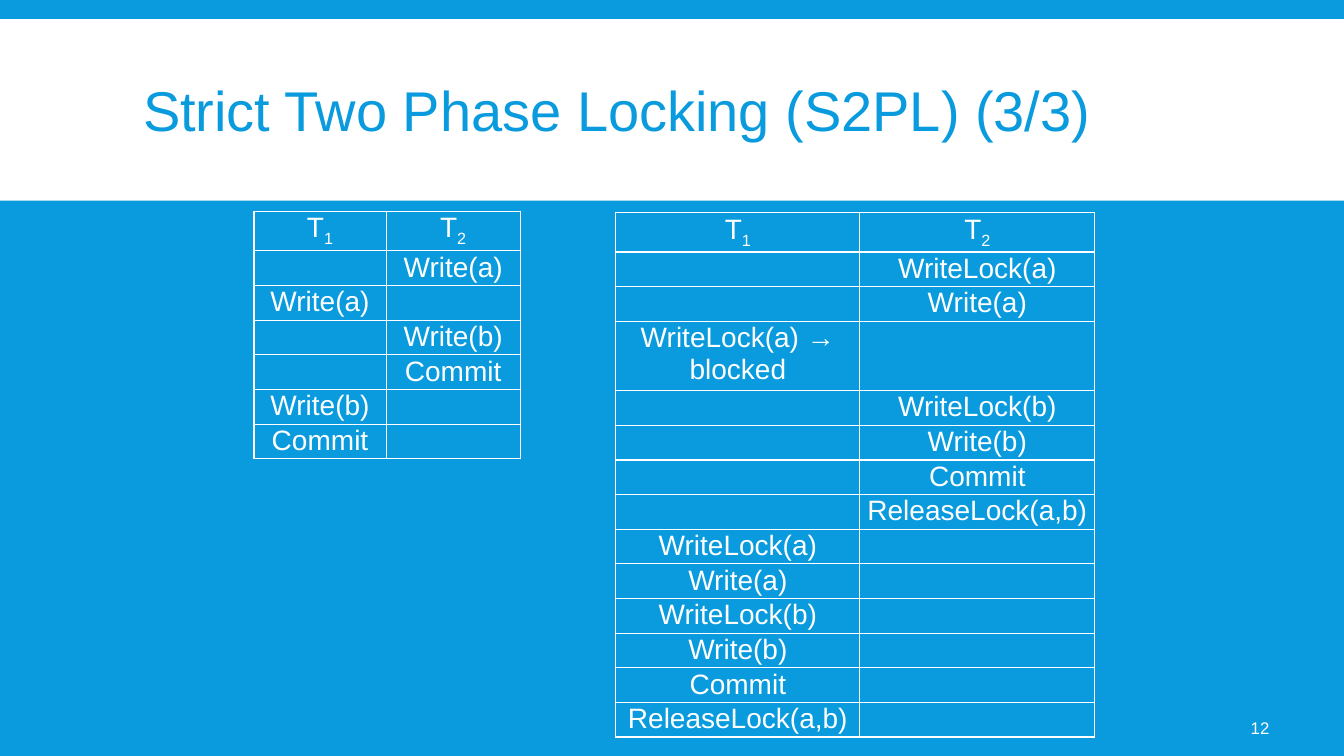
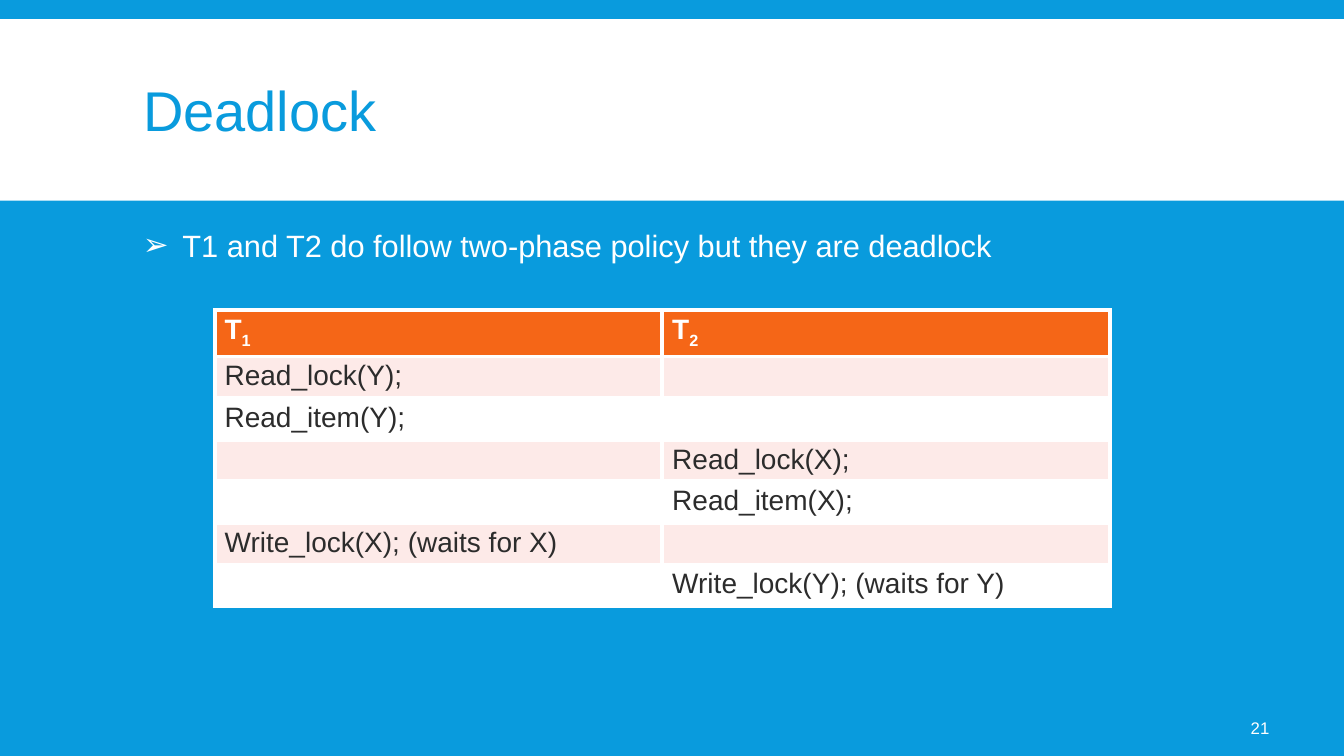
import pptx
import pptx.dml.color
import pptx.enum.shapes
import pptx.enum.text
import pptx.oxml
import pptx.oxml.ns
import pptx.util
from pptx.util import Cm

COLORS = {"blue": "099BDD", "white": "FFFFFF", "orange": "F56617",
          "pink": "FDEAE8", "dark": "2C2C2C"}
FONT = "Arial"
ALIGN = pptx.enum.text.PP_ALIGN
ANCHOR = pptx.enum.text.MSO_ANCHOR
MARGIN_LEFT, CONTENT_WIDTH = Cm(3.35), Cm(27.18)

# Each schedule step is (transaction, operation), one step a row.
SCHEDULE = [(2, "Write(a)"), (1, "Write(a)"), (2, "Write(b)"),
            (2, "Commit"), (1, "Write(b)"), (1, "Commit")]
LOCKED_SCHEDULE = [
    (2, "WriteLock(a)"), (2, "Write(a)"), (1, "WriteLock(a) → blocked"),
    (2, "WriteLock(b)"), (2, "Write(b)"), (2, "Commit"),
    (2, "ReleaseLock(a,b)"),
    (1, "WriteLock(a)"), (1, "Write(a)"), (1, "WriteLock(b)"),
    (1, "Write(b)"), (1, "Commit"), (1, "ReleaseLock(a,b)")]
DEADLOCK_SCHEDULE = [
    (1, "Read_lock(Y);"), (1, "Read_item(Y);"),
    (2, "Read_lock(X);"), (2, "Read_item(X);"),
    (1, "Write_lock(X); (waits for X)"), (2, "Write_lock(Y); (waits for Y)")]

OUTLINED = dict(row_height=0.79, border=1, align=ALIGN.CENTER, spacing=1.03)
SLIDES = [
    dict(title="Strict Two Phase Locking (S2PL) (3/3)", number=12, tables=[
        dict(steps=SCHEDULE, at=(6.4, 5.33), widths=(3.33, 3.38),
             margins=(0.2, 0), **OUTLINED),
        dict(steps=LOCKED_SCHEDULE, at=(15.52, 5.36), widths=(6.15, 5.92),
             margins=(0.18, 0), **OUTLINED)]),
    dict(title="Deadlock", number=21,
         bullet="T1 and T2 do follow two-phase policy but they are deadlock",
         tables=[dict(steps=DEADLOCK_SCHEDULE, at=(5.41, 7.82),
                      widths=(11.28, 11.28), row_height=1.04, border=3,
                      margins=(0.25, 0.1), header_fill="orange",
                      bands=("pink", "white"), body_color="dark")]),
]


def rgb(name):
    return pptx.dml.color.RGBColor.from_string(COLORS[name])


def write(p, text, size=20, color="white", bold=False, align=ALIGN.LEFT,
          spacing=None, subscript=False):
    p.alignment = align
    if spacing:
        p.line_spacing = spacing
    r = p.add_run()
    r.text = text
    r.font.name, r.font.size, r.font.bold = FONT, pptx.util.Pt(size), bold
    r.font.color.rgb = rgb(color)
    if subscript:
        r._r.get_or_add_rPr().set("baseline", "-25000")


def xml(tag, attributes, children=""):
    return pptx.oxml.parse_xml(
        f'<a:{tag} {pptx.oxml.ns.nsdecls("a")} {attributes}>{children}</a:{tag}>')


def set_borders(cell, width):
    line = f'<a:solidFill><a:srgbClr val="{COLORS["white"]}"/></a:solidFill>'
    tc_pr = cell._tc.get_or_add_tcPr()
    for i, side in enumerate(("lnL", "lnR", "lnT", "lnB")):
        tc_pr.insert(i, xml(side, f'w="{pptx.util.Pt(width)}"', line))


def add_schedule(s, steps, at, widths, row_height, border, margins,
                 header_fill=None, bands=(None,), body_color="white",
                 align=ALIGN.LEFT, spacing=None):
    """Draw a table with a column for each transaction and a row for each step."""
    left, top = at
    count = len(steps) + 1
    table = s.shapes.add_table(count, len(widths), Cm(left), Cm(top),
                               Cm(sum(widths)), Cm(row_height * count)).table
    table.first_row = header_fill is not None
    table.horz_banding = False
    for column, width in zip(table.columns, widths):
        column.width = Cm(width)
    for i, row in enumerate(table.rows):
        row.height = Cm(row_height)
        fill = bands[(i - 1) % len(bands)] if i else header_fill
        for transaction, cell in enumerate(row.cells, 1):
            cell.margin_left = cell.margin_right = Cm(margins[0])
            cell.margin_top = cell.margin_bottom = Cm(margins[1])
            if fill:
                cell.fill.solid()
                cell.fill.fore_color.rgb = rgb(fill)
            else:
                cell.fill.background()
            set_borders(cell, border)
            p = cell.text_frame.paragraphs[0]
            if i == 0:
                style = dict(bold=table.first_row, align=align, spacing=spacing)
                write(p, "T", **style)
                write(p, str(transaction), subscript=True, **style)
            elif steps[i - 1][0] == transaction:
                write(p, steps[i - 1][1], color=body_color, align=align,
                      spacing=spacing)


def add_bullet(s, text):
    tf = s.shapes.add_textbox(MARGIN_LEFT, Cm(5.59), CONTENT_WIDTH,
                              Cm(1.4)).text_frame
    tf.word_wrap = True
    p = tf.paragraphs[0]
    p_pr = p._p.get_or_add_pPr()
    p_pr.set("marL", str(Cm(1)))
    p_pr.set("indent", str(Cm(-1)))
    p_pr.append(xml("buClr", "", f'<a:srgbClr val="{COLORS["white"]}"/>'))
    p_pr.append(xml("buFont", f'typeface="{FONT}"'))
    p_pr.append(xml("buChar", 'char="➢"'))
    write(p, text, size=22)


def add_base(prs, title, number):
    """Add a slide with the title band, title and slide number."""
    s = prs.slides.add_slide(prs.slide_layouts[5])
    band = s.shapes.add_shape(pptx.enum.shapes.MSO_SHAPE.RECTANGLE,
                              0, Cm(0.48), prs.slide_width, Cm(4.58))
    band.shadow.inherit = False
    band.fill.solid()
    band.fill.fore_color.rgb = rgb("white")
    band.line.fill.background()
    s.shapes.element.insert(2, band.element)  # behind the title

    sp = s.shapes.title
    sp.left, sp.top = MARGIN_LEFT, Cm(0.79)
    sp.width, sp.height = CONTENT_WIDTH, Cm(4.19)
    tf = sp.text_frame
    tf.auto_size = pptx.enum.text.MSO_AUTO_SIZE.NONE
    tf.vertical_anchor = ANCHOR.MIDDLE
    write(tf.paragraphs[0], title, size=40, color="blue", spacing=0.85)

    tf = s.shapes.add_textbox(Cm(29.62), Cm(17.83), Cm(2.62), Cm(1.02)).text_frame
    tf.word_wrap = True
    tf.vertical_anchor = ANCHOR.MIDDLE
    write(tf.paragraphs[0], str(number), size=12, align=ALIGN.RIGHT)
    return s


def main():
    prs = pptx.Presentation()
    prs.slide_width, prs.slide_height = Cm(33.87), Cm(19.05)
    background = prs.slide_master.background.fill
    background.solid()
    background.fore_color.rgb = rgb("blue")
    for content in SLIDES:
        s = add_base(prs, content["title"], content["number"])
        if "bullet" in content:
            add_bullet(s, content["bullet"])
        for table in content["tables"]:
            add_schedule(s, **table)
    prs.save("out.pptx")


if __name__ == "__main__":
    main()
